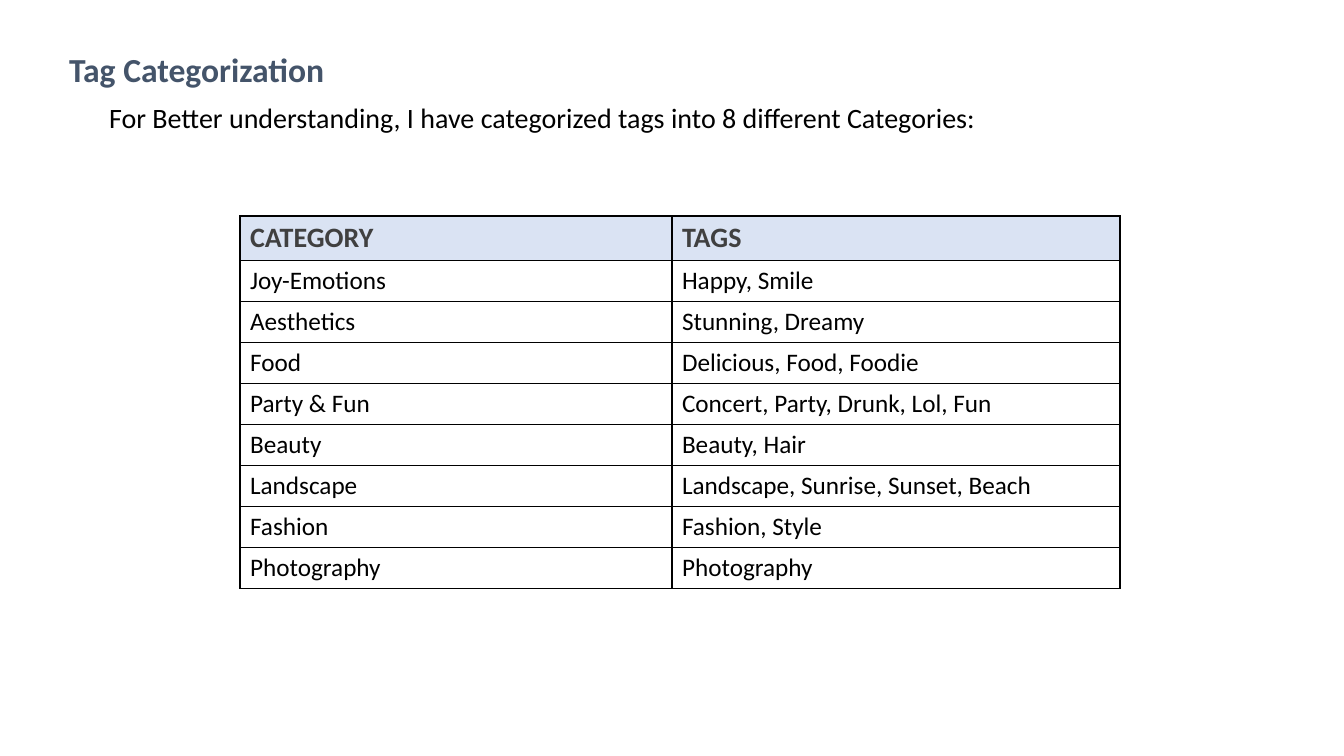
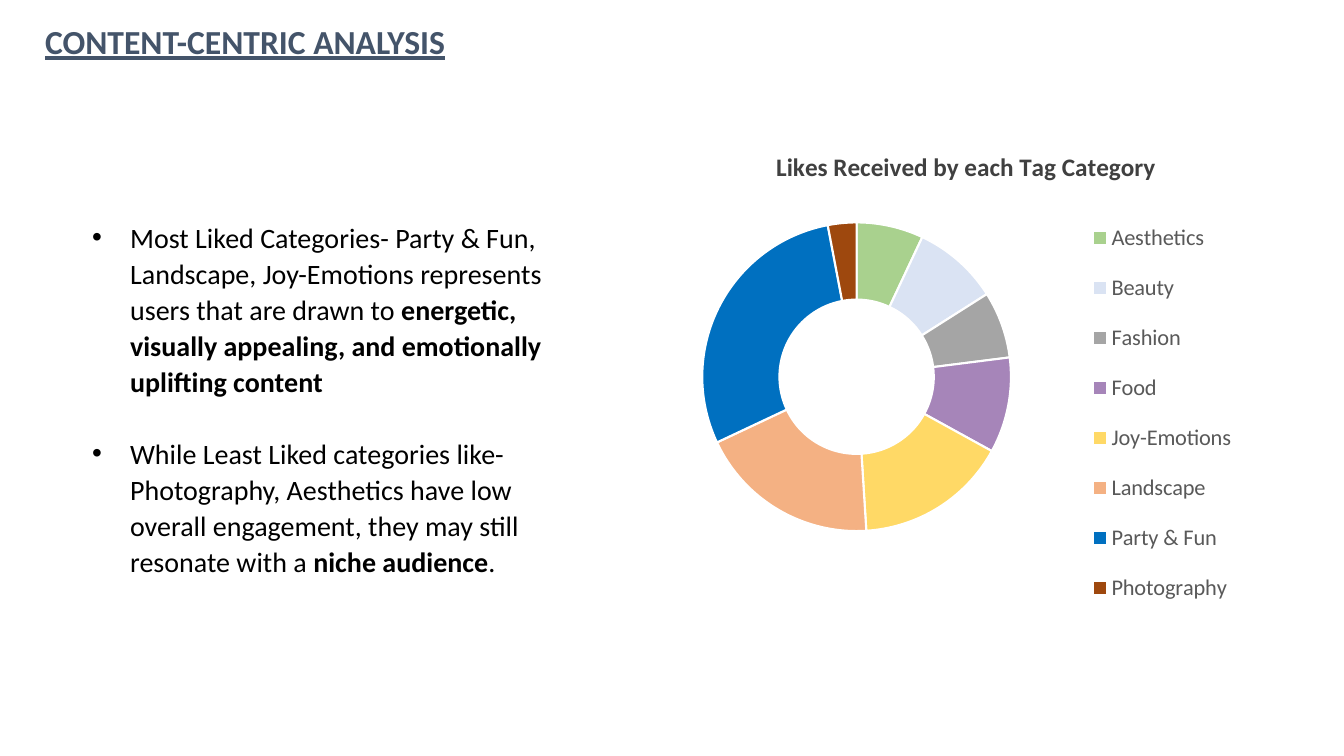
from pptx import Presentation, util as u
from pptx.chart.data import CategoryChartData
from pptx.dml.color import RGBColor
from pptx.enum import chart as charts, text
from pptx.oxml import parse_xml
from pptx.oxml.ns import nsdecls, qn

PX = 914400 / 100.8
FONT = "Calibri"
BLACK, SLATE, CHARCOAL, GRAY = "000000", "44546A", "404040", "595959"
WHITE, PALE_BLUE = "FFFFFF", "DAE3F3"


def px(*lengths):
    return [u.Emu(round(length * PX)) for length in lengths]


def write(paragraph, words, size=20, color=BLACK, bold=False, underline=False):
    run = paragraph.add_run()
    run.text = words
    font = run.font
    font.name, font.size, font.bold, font.underline = FONT, u.Pt(size), bold, underline
    font.color.rgb = RGBColor.from_string(color)


deck = Presentation()
deck.slide_width, deck.slide_height = px(1344, 756)

pages = [
    {"heading": "Tag Categorization", "underline": False,
     "heading_box": (59, 44, 414, 50), "body_box": (99, 95, 1245, 44),
     "spacing": 1, "bullets": False,
     "body": [[("For Better understanding, I have categorized tags into 8 different Categories:", False)]]},
    {"heading": "CONTENT-CENTRIC ANALYSIS", "underline": True,
     "heading_box": (35, 16, 583, 50), "body_box": (82, 213, 471, 408),
     "spacing": 1.07, "bullets": True,
     "body": [
         [("Most Liked Categories- Party & Fun, Landscape, Joy-Emotions represents "
           "users that are drawn to ", False),
          ("energetic, visually appealing, and emotionally uplifting content", True)],
         [("While Least Liked categories like- Photography, Aesthetics have low overall "
           "engagement, they may still resonate with a ", False),
          ("niche audience", True), (".", False)]]},
]

slides = []
for page in pages:
    slide = deck.slides.add_slide(deck.slide_layouts[1])
    slides.append(slide)
    heading, body = slide.shapes.title, slide.placeholders[1]
    for holder, box in ((heading, page["heading_box"]), (body, page["body_box"])):
        holder.left, holder.top, holder.width, holder.height = px(*box)
        frame = holder.text_frame
        frame.word_wrap = True
        frame.auto_size = text.MSO_AUTO_SIZE.NONE
        frame.vertical_anchor = text.MSO_ANCHOR.TOP

    title_line = heading.text_frame.paragraphs[0]
    title_line.alignment = text.PP_ALIGN.LEFT
    write(title_line, page["heading"], size=24, color=SLATE, bold=True,
          underline=page["underline"])

    for index, parts in enumerate(page["body"]):
        frame = body.text_frame
        point = frame.add_paragraph() if index else frame.paragraphs[0]
        point.line_spacing = page["spacing"]
        point.space_before = u.Pt(26 if index else 0)
        indent = px(38)[0] if page["bullets"] else 0
        properties = point._p.get_or_add_pPr()
        properties.set("marL", str(indent))
        properties.set("indent", str(-indent))
        bullet = '<a:buChar %s char="•"/>' if page["bullets"] else "<a:buNone %s/>"
        properties.append(parse_xml(bullet % nsdecls("a")))
        for words, bold in parts:
            write(point, words, bold=bold)

categories_slide, analysis_slide = slides

tag_rows = [
    ("CATEGORY", "TAGS"),
    ("Joy-Emotions", "Happy, Smile"),
    ("Aesthetics", "Stunning, Dreamy"),
    ("Food", "Delicious, Food, Foodie"),
    ("Party & Fun", "Concert, Party, Drunk, Lol, Fun"),
    ("Beauty", "Beauty, Hair"),
    ("Landscape", "Landscape, Sunrise, Sunset, Beach"),
    ("Fashion", "Fashion, Style"),
    ("Photography", "Photography"),
]
tags = categories_slide.shapes.add_table(len(tag_rows), 2, *px(240, 216, 880, 369)).table
tags.first_row = tags.horz_banding = False
tags.columns[0].width, tags.columns[1].width = px(432, 448)
for r, row in enumerate(tag_rows):
    for c, words in enumerate(row):
        cell = tags.cell(r, c)
        if r == 0:
            write(cell.text_frame.paragraphs[0], words, color=CHARCOAL, bold=True)
        else:
            write(cell.text_frame.paragraphs[0], words, size=18)
        cell_properties = cell._tc.get_or_add_tcPr()
        for side in ("lnL", "lnR", "lnT", "lnB"):
            cell_properties.append(parse_xml(
                f'<a:{side} {nsdecls("a")} w="12700"><a:solidFill>'
                f'<a:srgbClr val="{BLACK}"/></a:solidFill></a:{side}>'))
        if r == 0:
            cell.fill.solid()
            cell.fill.fore_color.rgb = RGBColor.from_string(PALE_BLUE)
        else:
            cell.fill.background()

likes_by_category = [
    ("Aesthetics", 7, "A9D18E"),
    ("Beauty", 9, PALE_BLUE),
    ("Fashion", 7, "A5A5A5"),
    ("Food", 10, "A685B9"),
    ("Joy-Emotions", 16, "FFD966"),
    ("Landscape", 19, "F4B183"),
    ("Party & Fun", 29, "0070C0"),
    ("Photography", 3, "9E480E"),
]
names, values, colors = zip(*likes_by_category)
likes_data = CategoryChartData()
likes_data.categories = names
likes_data.add_series("Series 1", values)
likes = analysis_slide.shapes.add_chart(
    charts.XL_CHART_TYPE.DOUGHNUT, *px(633, 124, 630, 516), likes_data).chart
likes.font.name, likes.font.size = FONT, u.Pt(16)
likes.font.color.rgb = RGBColor.from_string(BLACK)

likes.has_title = True
write(likes.chart_title.text_frame.paragraphs[0], "Likes Received by each Tag Category",
      size=18, color=CHARCOAL, bold=True)
likes.chart_title.include_in_layout = False

likes.has_legend = True
legend = likes.legend
legend.position = charts.XL_LEGEND_POSITION.RIGHT
legend.include_in_layout = False
legend.font.name, legend.font.size = FONT, u.Pt(16)
legend.font.color.rgb = RGBColor.from_string(GRAY)

ring = likes.plots[0]
ring.vary_by_categories = True
for index, color in enumerate(colors):
    slice_format = ring.series[0].points[index].format
    slice_format.fill.solid()
    slice_format.fill.fore_color.rgb = RGBColor.from_string(color)
    slice_format.line.color.rgb = RGBColor.from_string(WHITE)
    slice_format.line.width = u.Pt(1.5)

chart_xml = likes._chartSpace
chart_xml.xpath("//c:holeSize")[0].set("val", "75")
layouts = [
    ("//c:plotArea", 0, {"x": 0.11, "y": 0.19, "w": 0.49, "h": 0.6}),
    ("//c:chart/c:title", 1, {"x": 0.22, "y": 0.04}),
    ("//c:legend", 1, {"x": 0.71, "y": 0.15, "w": 0.26, "h": 0.82}),
]
for target, position, extent in layouts:
    part = chart_xml.xpath(target)[0]
    for old_layout in part.findall(qn("c:layout")):
        part.remove(old_layout)
    inner = '<c:layoutTarget val="inner"/>' if position == 0 else ""
    modes = '<c:xMode val="edge"/><c:yMode val="edge"/>'
    sizes = "".join(f'<c:{key} val="{value}"/>' for key, value in extent.items())
    part.insert(position, parse_xml(
        f'<c:layout {nsdecls("c")}><c:manualLayout>{inner}{modes}{sizes}'
        f"</c:manualLayout></c:layout>"))

deck.save("out.pptx")
